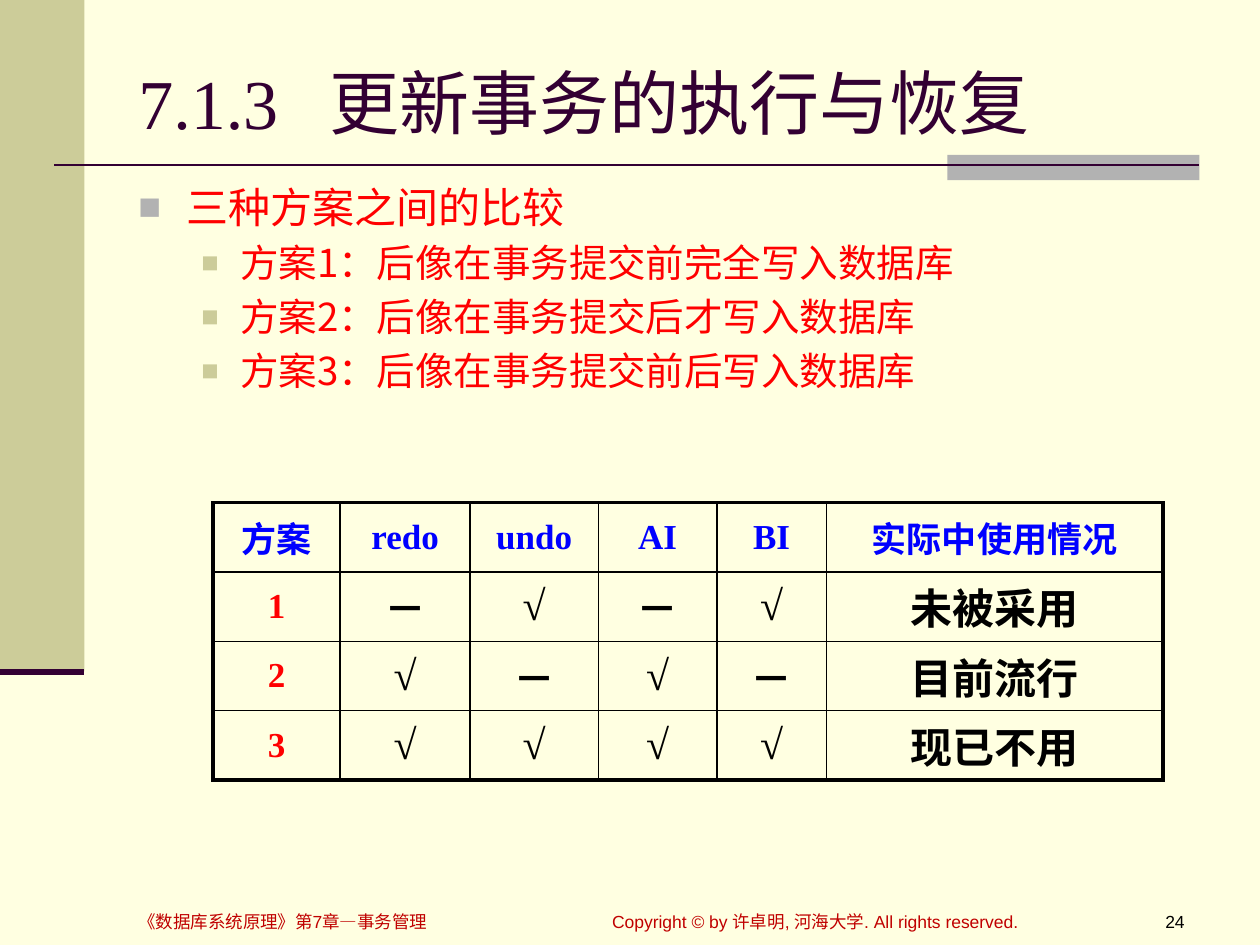
from lxml.etree import SubElement as Sub
from pptx import Presentation
from pptx.dml.color import RGBColor as Rgb
from pptx.enum.shapes import MSO_CONNECTOR as Conn, MSO_SHAPE as Form
from pptx.enum.text import MSO_ANCHOR as Anchor, PP_ALIGN as Align
from pptx.oxml.ns import qn
from pptx.util import Inches, Pt

INK = {"page": "FFFFE1", "sand": "CCCC99", "gray": "B2B2B2", "plum": "330033",
       "wine": "C00000", "red": "FF0000", "blue": "0000FF", "black": "000000"}
CJK = "Noto Sans CJK SC"
SERIF = "Times New Roman"
COLS, ROWS = 100, 75


class Deck:
    """Holds the style and the current slide, measured on a 100 by 75 grid."""

    def __init__(self):
        self.prs = Presentation()
        self.prs.slide_width, self.prs.slide_height = Inches(10), Inches(7.5)
        self.slide = self.prs.slides.add_slide(self.prs.slide_layouts[6])
        self.shapes = self.slide.shapes
        self.paint(self.slide.background.fill, "page")

    def paint(self, fill, ink):
        fill.solid()
        fill.fore_color.rgb = Rgb.from_string(INK[ink])

    def x(self, cols):
        return round(self.prs.slide_width * cols / COLS)

    def y(self, rows):
        return round(self.prs.slide_height * rows / ROWS)

    def place(self, left, top, wide, high):
        return self.x(left), self.y(top), self.x(wide), self.y(high)

    def block(self, area, ink):
        shape = self.shapes.add_shape(Form.RECTANGLE, *self.place(*area))
        shape.shadow.inherit = False
        self.paint(shape.fill, ink)
        shape.line.fill.background()

    def rule(self, left, right, row, width):
        line = self.shapes.add_connector(
            Conn.STRAIGHT, self.x(left), self.y(row), self.x(right), self.y(row))
        line.line.color.rgb = Rgb.from_string(INK["plum"])
        line.line.width = Pt(width)
        Sub(line._element.spPr, qn("a:effectLst"))

    def style(self, para, size, face, ink, bold=False):
        for run in para.runs:
            font = run.font
            font.size, font.name, font.bold = Pt(size), face, bold
            font.color.rgb = Rgb.from_string(INK[ink])
            Sub(run._r.get_or_add_rPr(), qn("a:ea"), typeface=CJK)

    def text(self, area, words, size, face, ink, align=Align.LEFT,
             anchor=Anchor.TOP, tab=None):
        frame = self.shapes.add_textbox(*self.place(*area)).text_frame
        frame.word_wrap, frame.vertical_anchor = True, anchor
        para = frame.paragraphs[0]
        para.text, para.alignment = words, align
        if tab:
            tabs = Sub(para._p.get_or_add_pPr(), qn("a:tabLst"))
            Sub(tabs, qn("a:tab"), pos=str(self.x(tab)), algn="l")
        self.style(para, size, face, ink)

    def bullet(self, para, indent, hang, ink, share):
        prop = para._p.get_or_add_pPr()
        prop.set("marL", str(self.x(indent)))
        prop.set("indent", str(-self.x(hang)))
        Sub(Sub(prop, qn("a:buClr")), qn("a:srgbClr"), val=INK[ink])
        Sub(prop, qn("a:buSzPct"), val=str(share * 1000))
        Sub(prop, qn("a:buFont"), typeface="Arial")
        Sub(prop, qn("a:buChar"), char="■")

    def outline(self, area, head, items):
        frame = self.shapes.add_textbox(*self.place(*area)).text_frame
        frame.word_wrap = True
        for num, words in enumerate([head, *items]):
            para = frame.add_paragraph() if num else frame.paragraphs[0]
            para.text = words
            if num:
                para.level, para.space_before = 1, Pt(4.4)
                self.bullet(para, 8.1, 3.1, "sand", 75)
            else:
                self.bullet(para, 3.8, 3.8, "gray", 90)
            self.style(para, 22 if num else 24, CJK, "red")

    def edge(self, cell, sides):
        prop = cell._tc.get_or_add_tcPr()
        for num, (side, outer) in enumerate(sides.items()):
            line = Sub(prop, qn("a:ln" + side), w=str(Pt(2.25 if outer else 1)))
            Sub(Sub(line, qn("a:solidFill")), qn("a:srgbClr"), val=INK["black"])
            prop.remove(line)
            prop.insert(num, line)

    def table(self, left, top, widths, high, data):
        last, end = len(data) - 1, len(widths) - 1
        area = self.place(left, top, sum(widths), high * len(data))
        grid = self.shapes.add_table(last + 1, end + 1, *area).table
        for col, wide in zip(grid.columns, widths):
            col.width = self.x(wide)
        for i, line in enumerate(data):
            for j, words in enumerate(line):
                cell = grid.cell(i, j)
                self.paint(cell.fill, "page")
                cell.vertical_anchor = Anchor.MIDDLE
                cell.margin_left = cell.margin_right = self.x(0.2)
                cell.margin_top = cell.margin_bottom = self.y(0.2)
                para = cell.text_frame.paragraphs[0]
                para.text, para.alignment = words, Align.CENTER
                ink = "blue" if i == 0 else "red" if j == 0 else "black"
                size = 24 if ink == "black" else 20
                self.style(para, size, SERIF, ink, True)
                self.edge(cell, {"L": j == 0, "R": j == end,
                                 "T": i == 0, "B": i == last})


def main():
    deck = Deck()
    deck.block((0, 0, 6.7, 53.3), "sand")
    deck.block((75.2, 12.3, 20, 2), "gray")
    deck.rule(4.3, 95.2, 13.1, 1.5)
    deck.rule(0, 6.7, 53.3, 3.5)
    foot = 71.8
    deck.text((47.6, foot, 39.4, 2.7),
              "Copyright © by 许卓明, 河海大学. All rights reserved.",
              10, "Arial", "wine")
    deck.text((10, foot, 36.9, 2.7), "《数据库系统原理》第7章—事务管理",
              10, "Arial", "wine")
    deck.text((87.8, foot, 7.2, 2.7), "24", 10, "Arial", "black", Align.RIGHT)
    deck.text((10, 3, 85, 10.1), "7.1.3\t更新事务的执行与恢复", 40, SERIF,
              "plum", anchor=Anchor.MIDDLE, tab=15.2)
    deck.outline((10, 13.9, 85, 56.7), "三种方案之间的比较",
                 ["方案1：后像在事务提交前完全写入数据库",
                  "方案2：后像在事务提交后才写入数据库",
                  "方案3：后像在事务提交前后写入数据库"])
    deck.table(16.9, 39.9, [10.1, 10.3, 10.2, 9.4, 8.7, 26.7], 5.5,
               [["方案", "redo", "undo", "AI", "BI", "实际中使用情况"],
                ["1", "－", "√", "－", "√", "未被采用"],
                ["2", "√", "－", "√", "－", "目前流行"],
                ["3", "√", "√", "√", "√", "现已不用"]])
    deck.prs.save("out.pptx")


if __name__ == "__main__":
    main()
